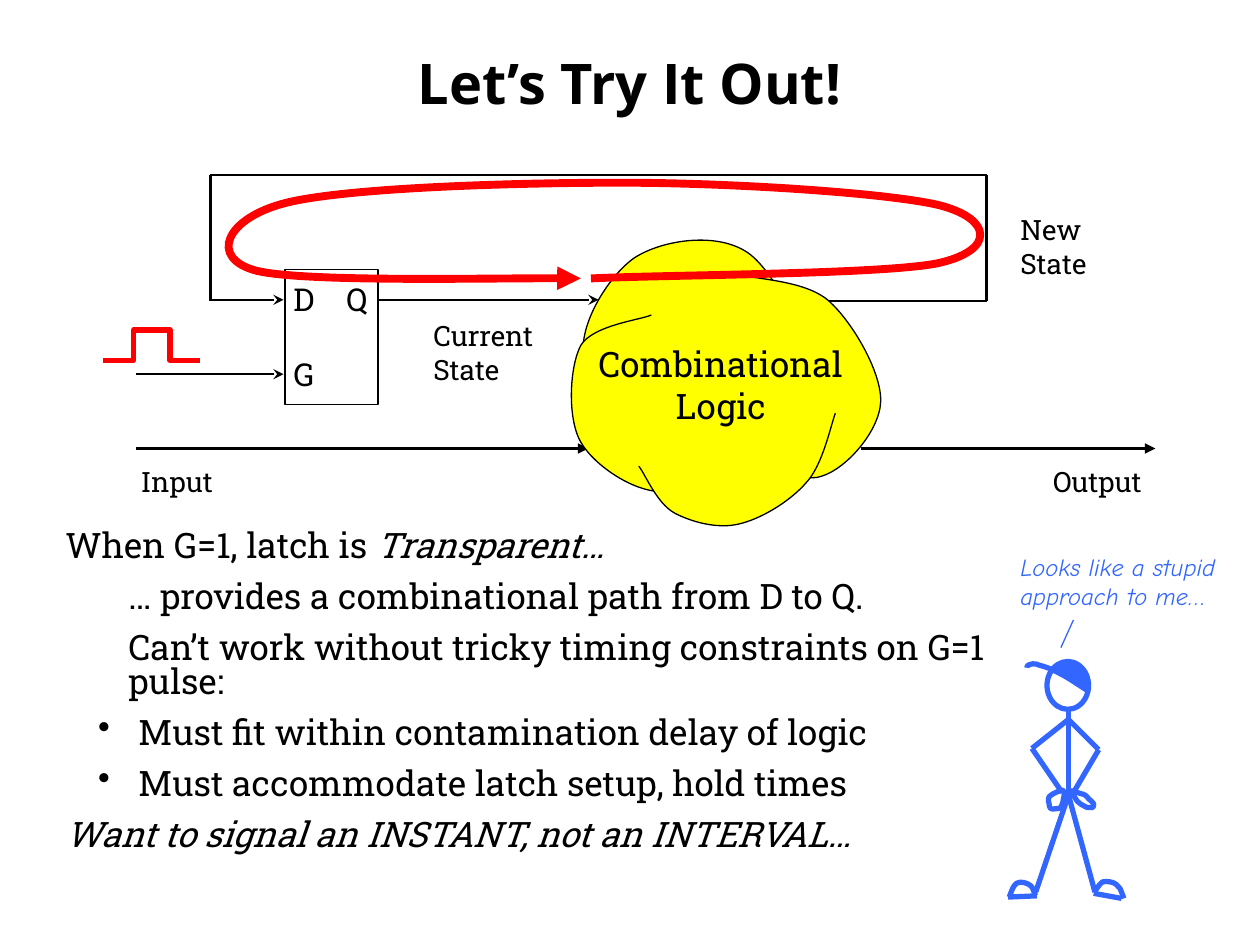
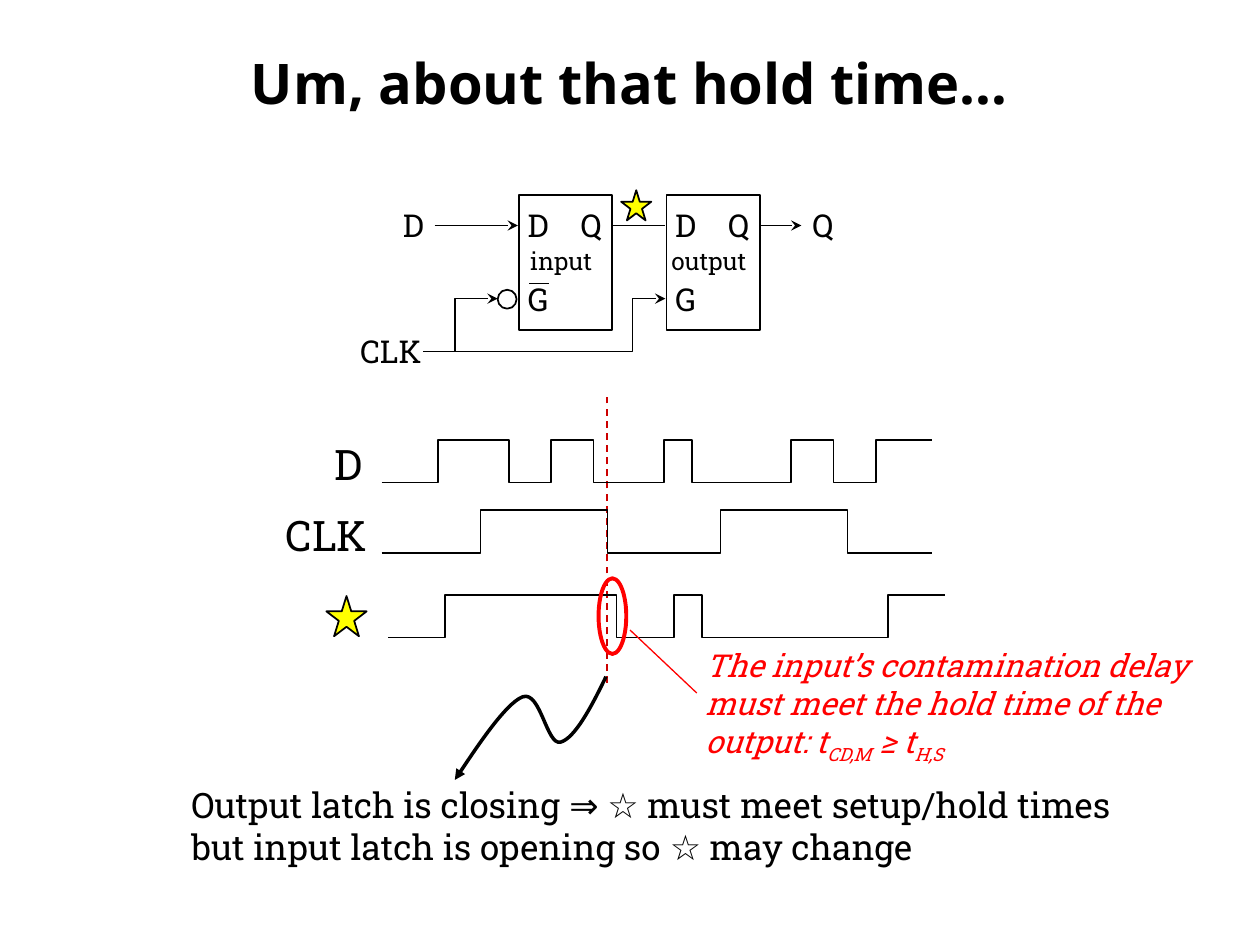
"""Builds two slides on latch timing: a feedback loop and a hold-time waveform."""
from itertools import pairwise

from lxml.etree import SubElement
from pptx import Presentation
from pptx.dml.color import RGBColor
from pptx.enum.dml import MSO_LINE
from pptx.enum.shapes import MSO_CONNECTOR, MSO_SHAPE
from pptx.enum.text import MSO_ANCHOR, MSO_AUTO_SIZE, PP_ALIGN
from pptx.oxml.ns import qn
from pptx.util import Inches, Pt

WIDTH, HEIGHT = 10, 7.5
COLOURS = {"ink": "000000", "paper": "FFFFFF", "logic": "FFFF00", "alert": "FF0000",
           "edge": "CC0000", "figure": "3366FF"}
SLAB, SANS, HAND = "Roboto Slab", "Open Sans", "Comic Neue"
TITLE_PLACE = (0.05 * WIDTH, 0.04 * HEIGHT, 0.9 * WIDTH, 0.7)
LATCH_SIZE = (0.74, 1.07)
LATCH_PINS = [("G", -0.03, 0.66), ("D", -0.03, 0.07), ("Q", 0.39, 0.07)]
PIN_SIZE = (0.4, 0.38)

CLOUD_LOBES = [
    [(6.52, 2.93), (6.42, 2.78), (6.16, 2.13), (5.91, 1.99), (5.66, 1.84), (5.24, 1.91),
     (5.03, 2.05), (4.82, 2.2), (4.57, 2.61), (4.64, 2.86), (4.7, 3.12), (5.24, 3.43),
     (5.4, 3.58)],
    [(5.17, 2.5), (5.08, 2.54), (4.71, 2.58), (4.61, 2.74), (4.52, 2.91), (4.5, 3.32),
     (4.61, 3.51), (4.72, 3.7), (5.05, 3.92), (5.28, 3.9), (5.52, 3.89), (5.86, 3.52),
     (6.01, 3.41)],
    [(5.84, 3.56), (5.95, 3.6), (6.33, 3.85), (6.52, 3.78), (6.72, 3.72), (6.98, 3.42),
     (6.99, 3.19), (7, 2.96), (6.77, 2.56), (6.58, 2.39), (6.39, 2.22), (5.99, 2.22),
     (5.83, 2.17)],
    [(5.07, 3.7), (5.12, 3.76), (5.21, 3.99), (5.35, 4.07), (5.48, 4.14), (5.69, 4.2),
     (5.86, 4.16), (6.04, 4.12), (6.27, 3.98), (6.4, 3.83), (6.53, 3.69), (6.59, 3.39),
     (6.63, 3.28)],
]
LOOP = [(4.61, 2.21), (4.18, 2.2), (2.43, 2.24), (2.04, 2.15), (1.65, 2.05), (1.79, 1.73),
        (2.27, 1.61), (2.75, 1.49), (4.06, 1.45), (4.93, 1.45), (5.79, 1.45), (7.05, 1.53),
        (7.46, 1.63), (7.88, 1.74), (7.9, 1.99), (7.44, 2.09), (6.98, 2.18), (5.27, 2.18),
        (4.69, 2.21)]
PULSE = [(0.82, 2.86), (1.06, 2.86), (1.06, 2.62), (1.35, 2.62), (1.35, 2.86), (1.59, 2.86)]
FEEDBACK = [(6.58, 2.39), (7.83, 2.39), (7.83, 1.39), (1.67, 1.39), (1.67, 2.39)]
LOOP_ARROWS = [((1.08, 2.97), (2.25, 2.97), "stealth"), ((1.67, 2.38), (2.25, 2.38), "stealth"),
               ((3, 2.38), (4.75, 2.38), "stealth"), ((6.83, 3.56), (9.17, 3.56), "triangle")]
LOOP_LABELS = [((3.34, 2.48, 1.11, 0.64), ["Current", "State"]),
               ((8, 1.64, 0.77, 0.64), ["New", "State"]),
               ((1.02, 3.64, 0.8, 0.37), ["Input"]),
               ((8.26, 3.64, 1.03, 0.37), ["Output"])]
ARGUMENT = [
    (0, 0, ["When G=1, latch is ", "Transparent… "]),
    (0.5, 0, ["… provides a combinational path from D to Q."]),
    (0.5, 0, ["Can’t work without tricky timing constraints on G=1 pulse:"]),
    (0.58, -0.32, ["Must fit within contamination delay of logic"]),
    (0.58, -0.32, ["Must accommodate latch setup, hold times"]),
    (0, 0, ["Want to signal an INSTANT, not an INTERVAL…"]),
]
EMPHASIS = ("Transparent… ", "Want to signal an INSTANT, not an INTERVAL…")

LIMBS = [
    [(8.48, 5.64), (8.48, 6.31), (8.22, 7.08)],
    [(8.48, 6.31), (8.69, 7.08)],
    [(8.23, 7.11), (8, 7.12)],
    [(8.68, 7.09), (8.9, 7.13)],
    [(8.48, 5.71), (8.19, 5.94), (8.43, 6.29)],
    [(8.48, 5.71), (8.72, 5.95), (8.52, 6.29)],
]
FEET_HANDS_BRIM = [
    [(8.01, 7.12), (8.03, 7.07), (8.04, 7.03), (8.07, 7.01), (8.1, 6.99), (8.16, 7.01),
     (8.18, 7.03), (8.2, 7.04), (8.21, 7.1), (8.22, 7.11)],
    [(8.92, 7.13), (8.89, 7.05), (8.89, 7.04), (8.86, 7.02), (8.84, 7), (8.78, 6.99),
     (8.75, 7), (8.72, 7.02), (8.7, 7.07), (8.68, 7.08)],
    [(8.43, 6.27), (8.42, 6.27), (8.35, 6.3), (8.33, 6.32), (8.31, 6.34), (8.33, 6.38),
     (8.33, 6.4), (8.33, 6.41), (8.34, 6.42), (8.35, 6.42), (8.36, 6.42), (8.4, 6.42),
     (8.42, 6.41), (8.43, 6.39), (8.44, 6.36), (8.44, 6.34), (8.45, 6.32), (8.45, 6.27),
     (8.43, 6.27)],
    [(8.5, 6.28), (8.5, 6.27), (8.55, 6.29), (8.58, 6.3), (8.6, 6.3), (8.63, 6.32),
     (8.64, 6.34), (8.66, 6.35), (8.67, 6.37), (8.68, 6.38), (8.68, 6.39), (8.68, 6.41),
     (8.67, 6.41), (8.65, 6.41), (8.62, 6.41), (8.61, 6.4), (8.59, 6.39), (8.57, 6.38),
     (8.55, 6.36), (8.54, 6.34), (8.5, 6.29), (8.5, 6.28)],
    [(8.63, 5.48), (8.55, 5.43), (8.48, 5.38), (8.42, 5.35), (8.35, 5.31), (8.29, 5.29),
     (8.25, 5.28), (8.21, 5.26), (8.18, 5.27), (8.16, 5.28), (8.15, 5.28), (8.15, 5.3),
     (8.15, 5.3)],
]
CAP = [(8.64, 5.46), (8.66, 5.46), (8.64, 5.39), (8.62, 5.35), (8.61, 5.32), (8.56, 5.29),
       (8.53, 5.27), (8.5, 5.25), (8.46, 5.25), (8.44, 5.25), (8.41, 5.25), (8.4, 5.27),
       (8.38, 5.28), (8.37, 5.29), (8.35, 5.29), (8.37, 5.3), (8.38, 5.32), (8.45, 5.36),
       (8.49, 5.39), (8.54, 5.42), (8.62, 5.47), (8.64, 5.46)]

LATCH_LEFTS, LATCH_TOP = (5.29, 4.12), 1.55
CLOCK_WIRES = [[(5.28, 2.37), (5.02, 2.37), (5.02, 2.79), (3.36, 2.79)],
               [(3.95, 2.37), (3.61, 2.37), (3.61, 2.79)]]
DATA_WIRES = [(3.45, 4.11, "stealth"), (6.03, 6.36, "stealth"), (4.86, 5.28, None)]
CIRCUIT_LABELS = [("D", (3.1, 1.62, 0.4, 0.38), 18), ("CLK", (2.76, 2.62, 0.75, 0.38), 18),
                  ("Q", (6.35, 1.62, 0.4, 0.38), 18), ("input", (4.11, 1.93, 0.72, 0.31), 14),
                  ("output", (5.23, 1.93, 0.85, 0.31), 14), ("D", (2.56, 3.48, 0.47, 0.47), 24),
                  ("CLK", (2.17, 4.04, 0.94, 0.47), 24)]
WAVE_COLUMNS, WAVE_RISE = 39, 0.34
WAVES = [(3.03, 4.37, 3.49, [4, 9, 12, 15, 20, 22, 29, 32, 35]),
         (3.03, 4.37, 4.05, [7, 16, 24, 33]),
         (3.08, 4.42, 4.72, [4, 16, 20, 22, 35])]
STARS = [(4.93, 1.51, 0.24, 0.24), (2.59, 4.73, 0.32, 0.32)]
SQUIGGLE = [(4.81, 5.37), (4.69, 5.62), (4.56, 5.86), (4.45, 5.89), (4.34, 5.92),
            (4.29, 5.48), (4.15, 5.53), (4.01, 5.58), (3.61, 6.19), (3.61, 6.19)]
HOLD_RULE = ["The input’s contamination delay must meet the hold time of the output: t",
             "CD,M", " ≥ t", "H,S"]
CLOSING = ("Output latch is closing ⇒ ☆ must meet setup/hold times "
           "but input latch is opening so ☆ may change")


def rgb(name):
    return RGBColor.from_string(COLOURS[name])


def inches(values):
    return [Inches(value) for value in values]


def draw_line(line, colour, weight, head=None, tail=None):
    line.color.rgb = rgb(colour)
    line.width = Pt(weight)
    for tag, kind in (("a:headEnd", head), ("a:tailEnd", tail)):
        if kind:
            SubElement(line._get_or_add_ln(), qn(tag), type=kind)


def finish(shape, fill, colour, weight, head=None, tail=None):
    shape.shadow.inherit = False
    if fill:
        shape.fill.solid()
        shape.fill.fore_color.rgb = rgb(fill)
    else:
        shape.fill.background()
    draw_line(shape.line, colour, weight, head, tail)
    return shape


def add_preset(page, kind, place, fill=None, colour="ink", weight=1):
    return finish(page.shapes.add_shape(kind, *inches(place)), fill, colour, weight)


def add_path(page, points, colour="ink", weight=1, fill=None, curved=False, head=None, tail=None):
    corners = [inches(point) for point in points]
    builder = page.shapes.build_freeform(*corners[0])
    builder.add_line_segments(corners[1:], close=points[0] == points[-1])
    shape = builder.convert_to_shape()
    if curved:
        steps = list(shape.element.iter(qn("a:lnTo")))
        for first, second, third in zip(steps[::3], steps[1::3], steps[2::3]):
            first.tag = qn("a:cubicBezTo")
            for step in (second, third):
                first.append(step[0])
                step.getparent().remove(step)
    return finish(shape, fill, colour, weight, head, tail)


def add_wire(page, start, end, colour="ink", weight=1.5, tail=None, dash=None):
    wire = page.shapes.add_connector(MSO_CONNECTOR.STRAIGHT, *inches(start + end))
    SubElement(wire.element.spPr, qn("a:effectLst"))
    if dash:
        wire.line.dash_style = dash
    draw_line(wire.line, colour, weight, tail=tail)


def add_text(page, place, paragraphs, size, colour="ink", font=SLAB, bold=False, italic=False,
             wrap=False, spacing=None, align=PP_ALIGN.LEFT):
    box = page.shapes.add_textbox(*inches(place))
    frame = box.text_frame
    frame.word_wrap = wrap
    frame.auto_size = MSO_AUTO_SIZE.SHAPE_TO_FIT_TEXT
    for index, spans in enumerate(paragraphs):
        para = frame.add_paragraph() if index else frame.paragraphs[0]
        para.alignment = align
        if spacing:
            para.line_spacing = spacing
        for text in [spans] if isinstance(spans, str) else spans:
            span = para.add_run()
            span.text = text
            span.font.name, span.font.size = font, Pt(size)
            span.font.bold, span.font.italic = bold, italic
            span.font.color.rgb = rgb(colour)
    return frame


def add_page(deck, title):
    page = deck.slides.add_slide(deck.slide_layouts[6])
    frame = add_text(page, TITLE_PLACE, [title], 32, font=SANS, bold=True, wrap=True,
                     align=PP_ALIGN.CENTER)
    frame.auto_size = MSO_AUTO_SIZE.NONE
    frame.vertical_anchor = MSO_ANCHOR.MIDDLE
    return page


def add_latch(page, left, top):
    add_preset(page, MSO_SHAPE.RECTANGLE, (left, top, *LATCH_SIZE), "paper")
    for pin, across, down in LATCH_PINS:
        add_text(page, (left + across, top + down, *PIN_SIZE), [pin], 18, spacing=0.9)


def add_argument(page):
    frame = add_text(page, (0.42, 4.17, 7.58, 2.84), [spans for _, _, spans in ARGUMENT], 20,
                     wrap=True, spacing=0.8)
    for para, (margin, indent, _) in zip(frame.paragraphs, ARGUMENT):
        para.space_before = Pt(10)
        properties = para._p.get_or_add_pPr()
        properties.set("marL", str(Inches(margin)))
        properties.set("indent", str(Inches(indent)))
        if indent:
            SubElement(properties, qn("a:buChar"), char="•")
        for span in para.runs:
            span.font.italic = span.text in EMPHASIS


def add_figure(page):
    add_text(page, (8, 4.33, 1.95, 0.57), ["Looks like a stupid", "approach to me…"], 14,
             "figure", HAND, italic=True)
    add_wire(page, (8.52, 4.92), (8.42, 5.14), "figure", 0.75)
    for limb in LIMBS:
        for start, end in pairwise(limb):
            add_wire(page, start, end, "figure", 3)
    add_preset(page, MSO_SHAPE.OVAL, (8.31, 5.25, 0.33, 0.38), None, "figure", 3)
    for outline in FEET_HANDS_BRIM:
        add_path(page, outline, "figure", 3, curved=True)
    add_path(page, CAP, "figure", 0.75, "figure", curved=True)


def add_wave(page, left, width, top, edges):
    levels = [top + WAVE_RISE, top]
    points = [(left, levels[0])]
    for index, column in enumerate(edges):
        across = left + width * column / WAVE_COLUMNS
        points += [(across, levels[index % 2]), (across, levels[(index + 1) % 2])]
    add_path(page, points + [(left + width, points[-1][1])])


def build_loop_page(deck):
    page = add_page(deck, "Let’s Try It Out!")
    add_wire(page, (1.08, 3.56), (4.67, 3.56), tail="triangle")
    for lobe in CLOUD_LOBES:
        add_path(page, lobe, weight=0.75, fill="logic", curved=True)
    add_text(page, (4.61, 2.67, 2.22, 0.77), ["Combinational", "Logic"], 20,
             align=PP_ALIGN.CENTER)
    add_latch(page, 2.26, 2.14)
    for start, end, tail in LOOP_ARROWS:
        add_wire(page, start, end, tail=tail)
    for start, end in pairwise(FEEDBACK):
        add_wire(page, start, end)
    for place, lines in LOOP_LABELS:
        add_text(page, place, lines, 16)
    add_argument(page)
    add_path(page, LOOP, "alert", 4.5, curved=True, head="triangle")
    add_path(page, PULSE, "alert", 3)
    add_figure(page)


def build_hold_page(deck):
    page = add_page(deck, "Um, about that hold time…")
    for left in LATCH_LEFTS:
        add_latch(page, left, LATCH_TOP)
    add_preset(page, MSO_SHAPE.OVAL, (3.95, 2.3, 0.15, 0.15), "paper")
    add_wire(page, (4.2, 2.25), (4.36, 2.25), weight=1)
    for wire in CLOCK_WIRES:
        add_path(page, wire, head="stealth")
    for start, end, tail in DATA_WIRES:
        add_wire(page, (start, 1.79), (end, 1.79), weight=1, tail=tail)
    add_wire(page, (4.82, 5.42), (4.82, 3.15), "edge", 1, dash=MSO_LINE.DASH)
    for text, place, size in CIRCUIT_LABELS:
        add_text(page, place, [text], size, spacing=0.9, wrap=text == "output")
    for wave in WAVES:
        add_wave(page, *wave)
    for place in STARS:
        add_preset(page, MSO_SHAPE.STAR_5_POINT, place, "logic")
    add_text(page, (1.42, 6.17, 7.92, 0.77), [CLOSING], 20, wrap=True)
    ring = add_preset(page, MSO_SHAPE.OVAL, (4.56, 4.78, 0.6, 0.22), None, "alert", 2.25)
    ring.rotation = 90
    frame = add_text(page, (5.5, 5.08, 4.08, 1.01), [HOLD_RULE], 18, "alert", italic=True,
                     wrap=True)
    for span in frame.paragraphs[0].runs[1::2]:
        span._r.get_or_add_rPr().set("baseline", "-25000")
    add_wire(page, (5, 5), (5.53, 5.5), "alert", 0.75)
    add_path(page, SQUIGGLE, weight=2, curved=True, tail="triangle")


deck = Presentation()
deck.slide_width, deck.slide_height = inches((WIDTH, HEIGHT))
build_loop_page(deck)
build_hold_page(deck)
deck.save("out.pptx")
